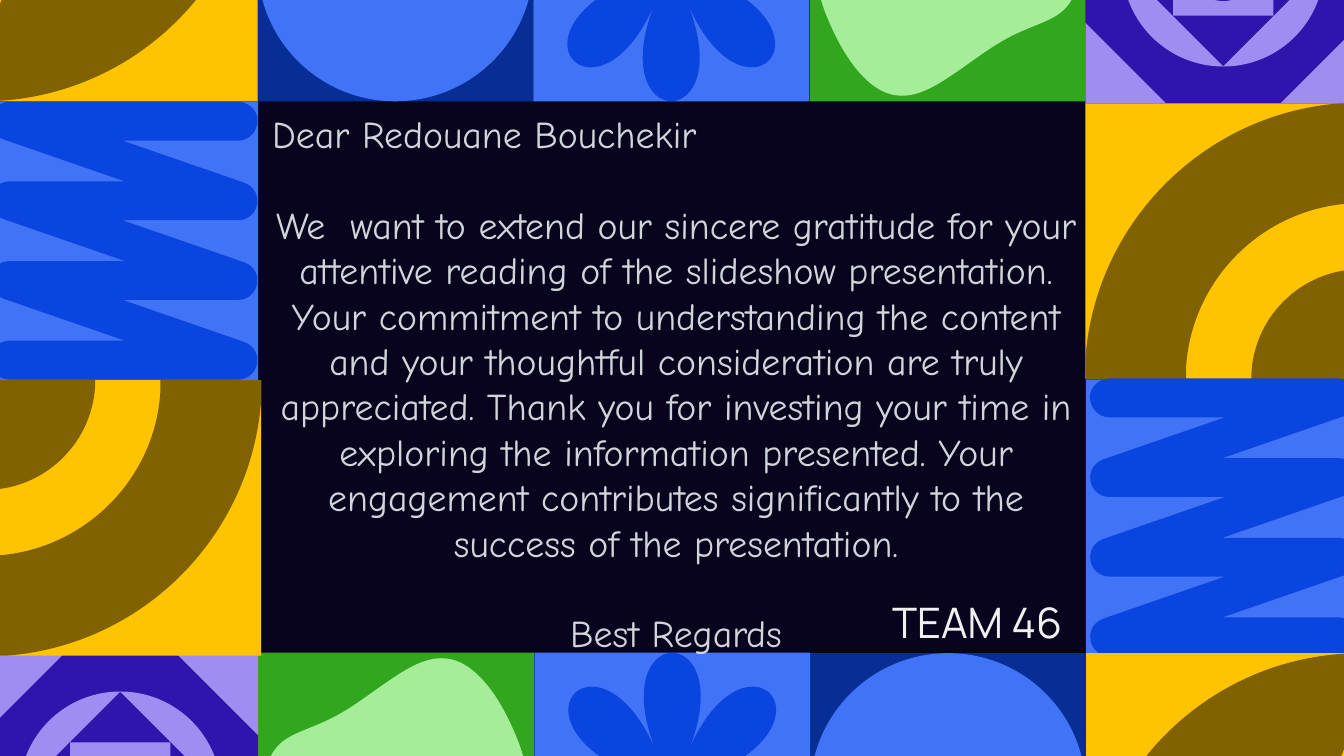
"""Build a closing thank-you slide framed by a patchwork of geometric tiles."""
from math import cos, radians, sin

from lxml.etree import SubElement
from pptx import Presentation
from pptx.dml.color import RGBColor
from pptx.enum.shapes import MSO_SHAPE
from pptx.enum.text import PP_ALIGN
from pptx.oxml.ns import qn
from pptx.util import Pt

PX = 9144
WIDTH, HEIGHT = 2666, 1500
TILE = 547

NIGHT = RGBColor(0x08, 0x04, 0x1E)
GOLD = RGBColor(0xFF, 0xC3, 0x00)
BRONZE = RGBColor(0x80, 0x62, 0x00)
NAVY = RGBColor(0x07, 0x2E, 0x94)
SKY = RGBColor(0x41, 0x73, 0xF6)
COBALT = RGBColor(0x0B, 0x45, 0xDF)
GREEN = RGBColor(0x31, 0xA6, 0x1E)
MINT = RGBColor(0xA6, 0xED, 0x9A)
LILAC = RGBColor(0xA0, 0x8D, 0xF2)
VIOLET = RGBColor(0x30, 0x14, 0xAC)
SILVER = RGBColor(0xD1, 0xD5, 0xDB)
WHITE = RGBColor(0xF0, 0xF0, 0xF0)

BLOB_LOWER_HALF = [
    (525, 262), (525, 294), (518, 323), (504, 342),
    (491, 361), (472, 371), (448, 381),
    (424, 391), (396, 401), (365, 420),
    (333, 439), (299, 466), (262, 490),
    (226, 514), (192, 529), (160, 524),
    (129, 520), (101, 497), (77, 466),
    (53, 435), (34, 395), (20, 360),
    (7, 325), (0, 294), (0, 262),
]

LETTER = [
    ("Dear Redouane Bouchekir", {"alignment": PP_ALIGN.LEFT}),
    (
        "We  want to extend our sincere gratitude for your attentive reading of the "
        "slideshow presentation. Your commitment to understanding the content and your "
        "thoughtful consideration are truly appreciated. Thank you for investing your "
        "time in exploring the information presented. Your engagement contributes "
        "significantly to the success of the presentation.",
        {"alignment": PP_ALIGN.CENTER, "space_before": Pt(65)},
    ),
    ("Best Regards", {"alignment": PP_ALIGN.CENTER, "space_before": Pt(65)}),
]
SIGNATURE = [("TEAM 46", {"alignment": PP_ALIGN.CENTER, "line_spacing": 1.1})]


class Page:
    def __init__(self, deck):
        self.slide = deck.slides.add_slide(deck.slide_layouts[6])
        self.slide.background.fill.solid()
        self.slide.background.fill.fore_color.rgb = NIGHT

    def paint(self, shape, color):
        shape.shadow.inherit = False
        shape.fill.solid()
        shape.fill.fore_color.rgb = color
        shape.line.fill.background()

    def preset(self, kind, color, left, top, width, height):
        lengths = [value * PX for value in (left, top, width, height)]
        self.paint(self.slide.shapes.add_shape(kind, *lengths), color)

    def tile(self, color, left, top, height=TILE):
        self.preset(MSO_SHAPE.RECTANGLE, color, left, top, TILE, height)

    def outline(self, color, box, start, segments, flip_x=False, flip_y=False):
        left, top, width, height = box
        builder = self.slide.shapes.build_freeform(left, top, scale=PX)
        right, bottom = left + width, top + height
        builder.add_line_segments([(right, top), (right, bottom), (left, bottom)], close=True)
        shape = builder.convert_to_shape()
        path = shape._element.find(".//" + qn("a:path"))
        for child in list(path):
            path.remove(child)
        for index, points in enumerate([(start,), *segments]):
            command = "cubicBezTo" if len(points) == 3 else "lnTo" if index else "moveTo"
            node = SubElement(path, qn(f"a:{command}"))
            for x, y in points:
                x, y = width - x if flip_x else x, height - y if flip_y else y
                SubElement(node, qn("a:pt"), x=str(round(x)), y=str(round(y)))
        SubElement(path, qn("a:close"))
        self.paint(shape, color)

    def text(self, left, top, width, height, paragraphs, font):
        lengths = [value * PX for value in (left, top, width, height)]
        frame = self.slide.shapes.add_textbox(*lengths).text_frame
        frame.word_wrap = True
        for index, (words, layout) in enumerate(paragraphs):
            para = frame.add_paragraph() if index else frame.paragraphs[0]
            for name, value in layout.items():
                setattr(para, name, value)
            span = para.add_run()
            span.text = words
            span.font.color.rgb = font["color"]
            for name in ("name", "size"):
                setattr(span.font, name, font[name])


def leaf(page, left, top, turned):
    page.tile(GOLD, left, top)
    segments = [((547, 302), (302, 547), (0, 547)), ((0, 245), (245, 0), (547, 0))]
    page.outline(BRONZE, (left, top, TILE, TILE), (547, 0), segments, turned, turned)


def half_disc(page, left, top, turned):
    page.tile(NAVY, left, top)
    box = (left, top if turned else top + 274, TILE, 273)
    segments = [((0, 0),), ((0, 151), (122, 273), (273, 273)), ((424, 273), (547, 151), (547, 0))]
    page.outline(SKY, box, (547, 0), segments, turned, turned)


def flower(page, left, top, turned):
    page.tile(SKY, left, top)
    center = TILE / 2
    inner, outer = [
        [(center + radius * cos(radians(angle)), center + radius * sin(radians(angle)))
         for angle in [22.5 + 45 * step for step in range(9)]]
        for radius in (80.5, 367)
    ]
    petals = [(outer[i], outer[i + 1], inner[i + 1]) for i in range(8)]
    page.outline(COBALT, (left, top, TILE, TILE), inner[0], petals, turned, turned)


def blob(page, left, top, turned):
    page.tile(GREEN, left, top)
    upper = [(x, 525 - y) for x, y in reversed(BLOB_LOWER_HALF[:-1])]
    start, *points = BLOB_LOWER_HALF + upper
    segments = [points[i:i + 3] for i in range(0, len(points), 3)]
    page.outline(MINT, (left + 11, top + 11, 525, 525), start, segments, turned, turned)


def medallion(page, left, top, turned):
    page.tile(LILAC, left, top)
    rings = [
        (MSO_SHAPE.OCTAGON, VIOLET, 547), (MSO_SHAPE.OVAL, LILAC, 401),
        (MSO_SHAPE.DIAMOND, VIOLET, 399), (MSO_SHAPE.RECTANGLE, LILAC, 199),
        (MSO_SHAPE.OVAL, VIOLET, 141),
    ]
    for kind, color, side in rings:
        inset = (TILE - side) // 2
        if top + inset < HEIGHT:
            page.preset(kind, color, left + inset, top + inset, side, side)


def rainbow(page, left, top, turned):
    page.tile(GOLD, left, top)
    band = [
        ((236, 20), (20, 236), (0, 506)), ((0, 547),), ((200, 547),), ((200, 521),),
        ((212, 349), (350, 212), (521, 199)), ((547, 199),), ((547, 0),),
    ]
    core = [((218, 218),), ((0, 218),), ((0, 98), (98, 0), (218, 0))]
    shift = 0 if turned else 329
    page.outline(BRONZE, (left, top, TILE, TILE), (506, 0), band, turned, turned)
    page.outline(BRONZE, (left + shift, top + shift, 218, 218), (218, 0), core, turned, turned)


def zigzag(page, left, top, turned):
    page.tile(SKY, left, top, 553 if turned else 546)
    half = [((530, 492), (514, 474), (493, 474))]
    for rise in (0, 158, 316):
        half += [
            ((263, 474 - rise),), ((503, 391 - rise),),
            ((521, 385 - rise), (533, 369 - rise), (530, 349 - rise)),
            ((528, 331 - rise), (512, 316 - rise), (493, 316 - rise)),
        ]
    half += [((38, 0),), ((18, 0), (-1, 18), (0, 38))]
    opposite = [[(531 - x, 551 - y) for x, y in points] for points in half]
    shift_x, shift_y = (15, 1) if turned else (8, -2)
    box = (left + shift_x, top + shift_y, 531, 551)
    page.outline(COBALT, box, (531, 513), half + opposite, flip_y=turned)


MOTIFS = [leaf, half_disc, flower, blob, medallion, rainbow, zigzag]
UPPER_RIGHT = [(-35, -346), (511, -346), (1058, -346), (1606, -346),
               (2153, -342), (2153, 205), (2154, 753)]
LOWER_LEFT = [(2153, 1296), (1607, 1296), (1060, 1295), (512, 1295),
              (-35, 1299), (-29, 754), (-35, 201)]


def main():
    deck = Presentation()
    deck.slide_width, deck.slide_height = WIDTH * PX, HEIGHT * PX
    page = Page(deck)
    for turned, corners in ((False, UPPER_RIGHT), (True, LOWER_LEFT)):
        for motif, (left, top) in zip(MOTIFS, corners):
            motif(page, left, top, turned)
    page.text(1707, 1168, 463, 117, SIGNATURE,
              {"name": "Manrope", "size": Pt(60), "color": WHITE})
    page.text(530, 215, 1622, 979, LETTER,
              {"name": "Comic Neue", "size": Pt(54), "color": SILVER})
    deck.save("out.pptx")


if __name__ == "__main__":
    main()
